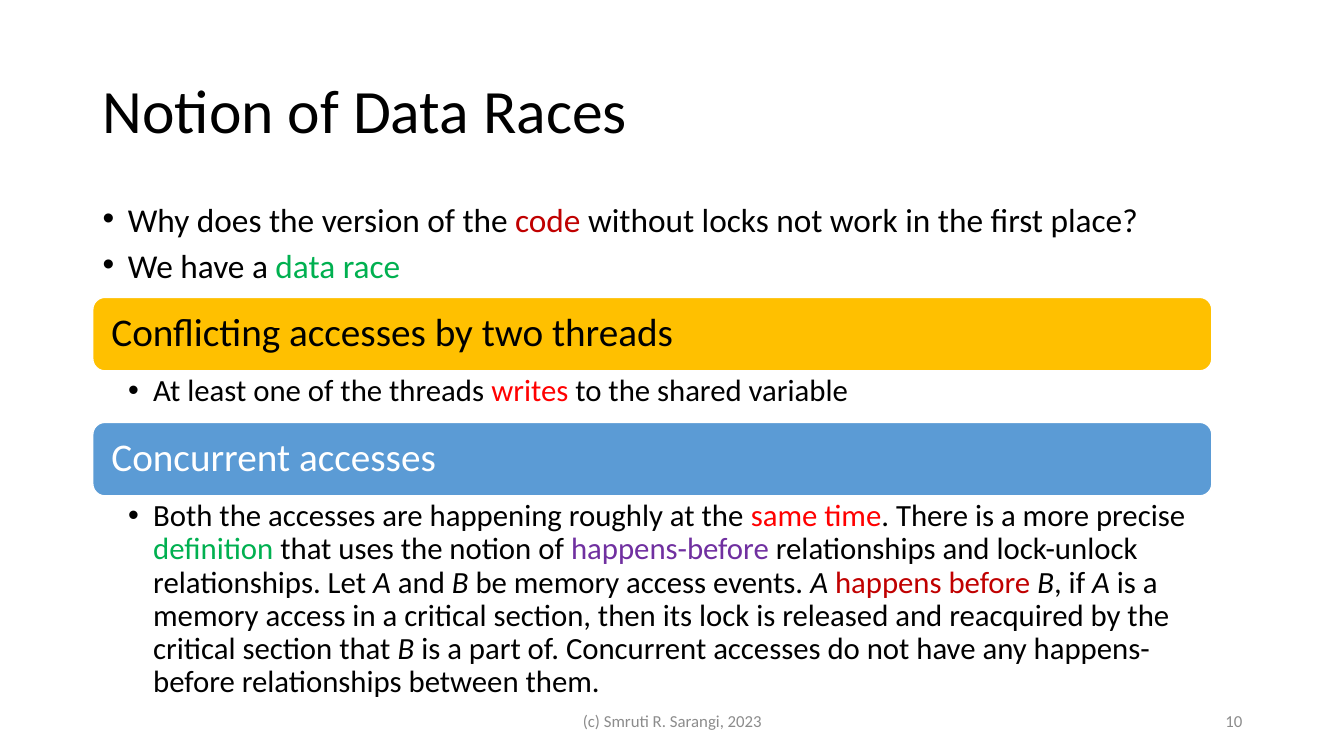
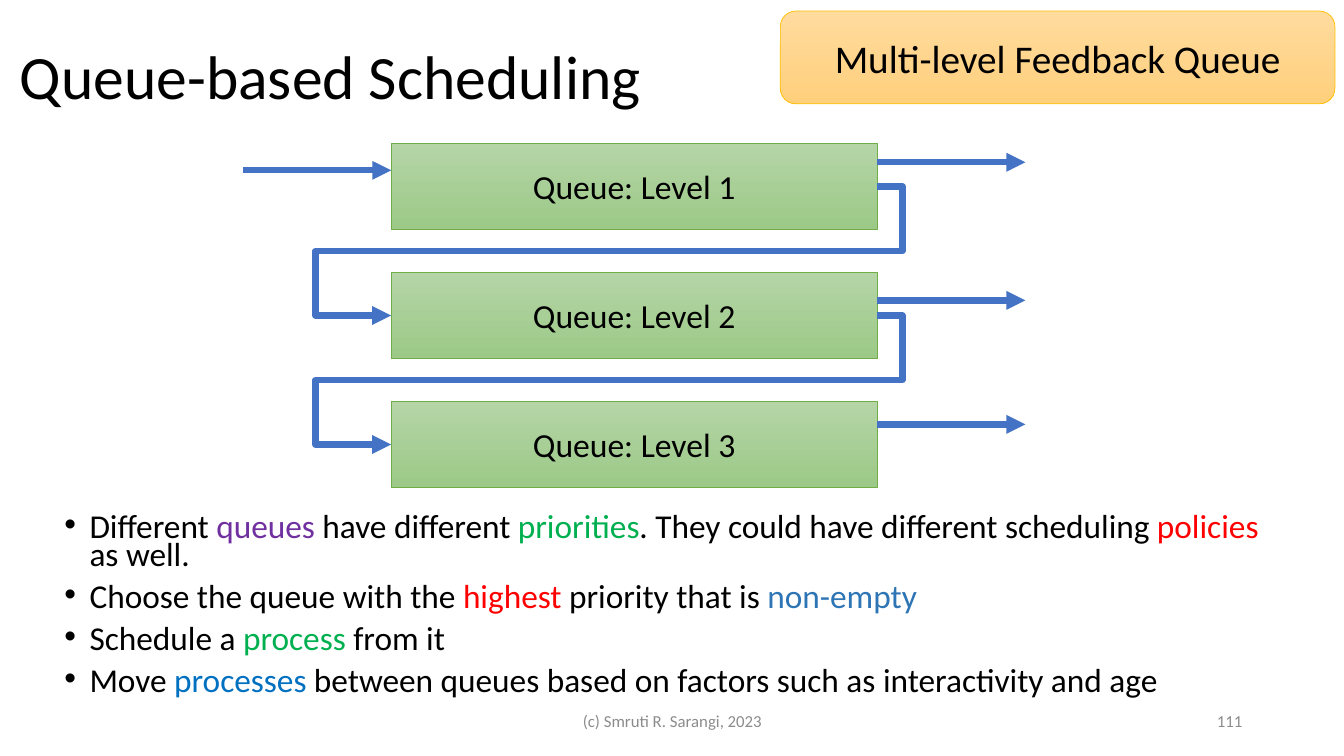
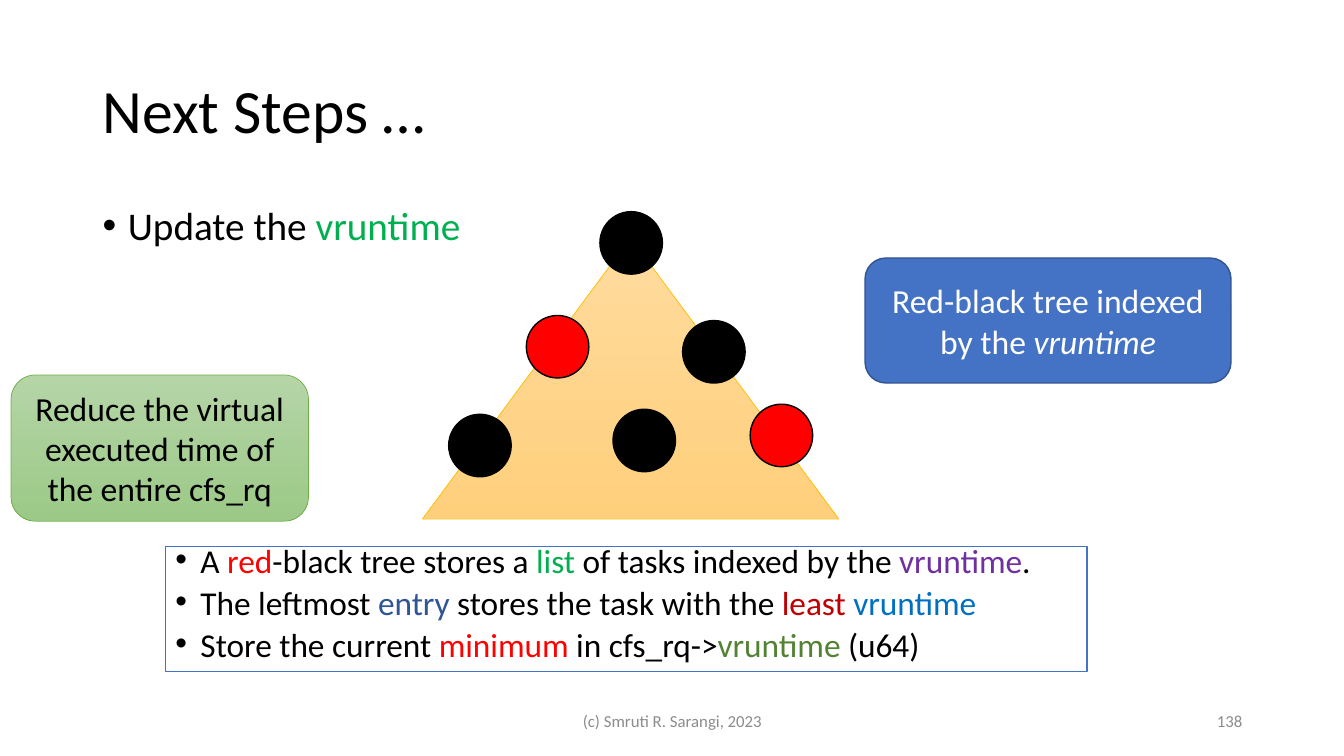
import pptx
import pptx.dml.color
import pptx.enum.shapes
import pptx.enum.text
import pptx.oxml.ns
import pptx.util
from lxml import etree

Inches = pptx.util.Inches
Pt = pptx.util.Pt
SHAPES = pptx.enum.shapes.MSO_SHAPE
CONNECTORS = pptx.enum.shapes.MSO_CONNECTOR
ALIGN = pptx.enum.text.PP_ALIGN
ANCHOR = pptx.enum.text.MSO_ANCHOR
qn = pptx.oxml.ns.qn

FONT = "Calibri"
FOOTER = "(c) Smruti R. Sarangi, 2023"
COLORS = {
    "black": "000000", "white": "FFFFFF", "gray": "8C8C8C",
    "red": "FF0000", "crimson": "C00000", "green": "00B050",
    "purple": "7030A0", "blue": "0070C0", "steel": "2E75B6",
    "navy": "2F5597", "olive": "548235", "accent": "4472C4",
    "accent edge": "325491", "sky": "5B9BD5", "gold": "FFC000",
    "leaf": "70AD47", "leaf top": "B5D5A7", "leaf bottom": "9CC987",
    "sand top": "FFDB9E", "sand bottom": "FFD07C",
}
LEAF = {"fill": ("leaf top", "leaf bottom"), "line": "leaf", "width": 0.5}
SAND = {"fill": ("sand top", "sand bottom"), "line": "gold", "width": 0.5}

RACE_POINTS = [
    ["Why does the version of the ", ("code", "crimson"),
     " without locks not work in the first place?"],
    ["We have a ", ("data race", "green")],
]
RACE_SECTIONS = [
    {"heading": "Conflicting accesses by two threads",
     "fill": "gold", "color": "black", "top": 2.95, "note_height": 0.51,
     "note": ["At least one of the threads ", ("writes", "red"),
              " to the shared variable"]},
    {"heading": "Concurrent accesses",
     "fill": "sky", "color": "white", "top": 4.19, "note_height": 2.16,
     "note": ["Both the accesses are happening roughly at the ",
              ("same time", "red"), ". There is a more precise ",
              ("definition", "green"), " that uses the notion of ",
              ("happens-before", "purple"),
              " relationships and lock-unlock relationships. Let ",
              ("A ", "italic"), "and ", ("B", "italic"),
              " be memory access events. ", ("A ", "italic"),
              ("happens before ", "crimson"), ("B", "italic"), ", if ",
              ("A ", "italic"),
              "is a memory access in a critical section, then its lock is "
              "released and reacquired by the critical section that ",
              ("B ", "italic"),
              "is a part of. Concurrent accesses do not have any "
              "happens-before relationships between them."]},
]

QUEUES = [("Queue: Level 1", 1.61), ("Queue: Level 2", 2.98),
          ("Queue: Level 3", 4.21)]
QUEUE_LEFT, QUEUE_TOP, QUEUE_WIDTH, QUEUE_HEIGHT = 3.88, 1.42, 4.82, 0.86
QUEUE_PITCH = 1.28
QUEUE_RIGHT = QUEUE_LEFT + QUEUE_WIDTH
ARROW_LENGTH = 1.47
DEMOTION_BENDS = [-5200, 50000, 115600]
QUEUE_POINTS = [
    ["Different ", ("queues", "purple"), " have different ",
     ("priorities", "green"), ". They could have different scheduling ",
     ("policies", "red"), " as well."],
    ["Choose the queue with the ", ("highest", "red"),
     " priority that is ", ("non-empty", "steel")],
    ["Schedule a ", ("process", "green"), " from it"],
    ["Move ", ("processes", "blue"),
     " between queues based on factors such as interactivity and age"],
]

NODE_SIZE = 0.62
TREE_NODES = [(5.95, 2.1, "black"), (5.22, 3.13, "red"), (7.44, 4.01, "red"),
              (6.77, 3.18, "black"), (4.45, 4.11, "black"),
              (6.08, 4.06, "black")]
UPDATE_POINTS = [["Update the ", ("vruntime", "green")]]
TREE_POINTS = [
    ["A ", ("red", "red"), "-black tree stores a ", ("list", "green"),
     " of tasks indexed by the ", ("vruntime", "purple"), "."],
    ["The leftmost ", ("entry", "navy"), " stores the task with the ",
     ("least ", "crimson"), ("vruntime", "blue")],
    ["Store the current ", ("minimum", "red"), " in cfs_rq->",
     ("vruntime", "olive"), " (u64)"],
]


def rgb(name):
    return pptx.dml.color.RGBColor.from_string(COLORS[name])


def add_bullet(paragraph):
    properties = paragraph._p.get_or_add_pPr()
    properties.set("marL", str(Inches(0.25)))
    properties.set("indent", str(Inches(-0.25)))
    etree.SubElement(properties, qn("a:buFont")).set("typeface", "Arial")
    etree.SubElement(properties, qn("a:buChar")).set("char", "•")


def write_text(shape, paragraphs, size=24, color="black", align=ALIGN.LEFT,
               anchor=ANCHOR.TOP, spacing=1.0, before=0, bullet=False,
               insets=(0.1, 0.05, 0.1, 0.05)):
    frame = shape.text_frame
    frame.word_wrap = True
    frame.vertical_anchor = anchor
    (frame.margin_left, frame.margin_top,
     frame.margin_right, frame.margin_bottom) = map(Inches, insets)
    for index, parts in enumerate(paragraphs):
        paragraph = frame.add_paragraph() if index else frame.paragraphs[0]
        if bullet:
            add_bullet(paragraph)
        paragraph.alignment = align
        paragraph.line_spacing = spacing
        paragraph.space_before = Pt(before if index else 0)
        for part in parts:
            text, style = (part, color) if isinstance(part, str) else part
            run = paragraph.add_run()
            run.text = text
            run.font.name = FONT
            run.font.size = Pt(size)
            run.font.italic = style == "italic"
            run.font.color.rgb = rgb(color if style == "italic" else style)


def add_text(slide, box, paragraphs, **style):
    shape = slide.shapes.add_textbox(*map(Inches, box))
    write_text(shape, paragraphs, **style)


def add_bullets(slide, box, points, size=23.8, spacing=0.7):
    add_text(slide, box, points, size=size, spacing=spacing, before=10,
             bullet=True)


def add_block(slide, kind, box, fill, line, width=1):
    shape = slide.shapes.add_shape(kind, *map(Inches, box))
    shape.shadow.inherit = False
    if isinstance(fill, tuple):
        shape.fill.gradient()
        shape.fill.gradient_angle = 270
        for stop, name in zip(shape.fill.gradient_stops, fill):
            stop.color.rgb = rgb(name)
    else:
        shape.fill.solid()
        shape.fill.fore_color.rgb = rgb(fill)
    shape.line.color.rgb = rgb(line)
    shape.line.width = Pt(width)
    return shape


def add_label(slide, kind, box, parts, size=24, color="black", **look):
    shape = add_block(slide, kind, box, **look)
    write_text(shape, [parts], size=size, color=color, align=ALIGN.CENTER,
               anchor=ANCHOR.MIDDLE)
    return shape


def add_arrow(slide, kind, start, end):
    connector = slide.shapes.add_connector(kind, *map(Inches, start + end))
    connector.line.color.rgb = rgb("accent")
    connector.line.width = Pt(4.5)
    line = connector.line._get_or_add_ln()
    etree.SubElement(line, qn("a:tailEnd")).set("type", "triangle")
    etree.SubElement(connector._element.spPr, qn("a:effectLst"))
    return connector


def add_demotion(slide, upper, lower):
    connector = add_arrow(slide, CONNECTORS.ELBOW, (0, 0), (1, 1))
    connector.begin_connect(upper, 3)
    connector.end_connect(lower, 1)
    geometry = connector._element.spPr.find(qn("a:prstGeom"))
    geometry.set("prst", "bentConnector5")
    adjustments = geometry.find(qn("a:avLst"))
    if adjustments is None:
        adjustments = etree.SubElement(geometry, qn("a:avLst"))
    for number, value in enumerate(DEMOTION_BENDS, 1):
        guide = etree.SubElement(adjustments, qn("a:gd"))
        guide.set("name", f"adj{number}")
        guide.set("fmla", f"val {value}")


def add_slide(presentation, title, number, title_at=(0.92, 0.4)):
    slide = presentation.slides.add_slide(presentation.slide_layouts[6])
    add_text(slide, title_at + (11.5, 1.45), [[title]], size=44, spacing=0.9,
             anchor=ANCHOR.MIDDLE)
    for box, text, align in [((4.42, 6.95, 4.5, 0.4), FOOTER, ALIGN.CENTER),
                             ((9.42, 6.95, 3, 0.4), number, ALIGN.RIGHT)]:
        add_text(slide, box, [[text]], size=12, color="gray", align=align,
                 anchor=ANCHOR.MIDDLE)
    return slide


def build_data_races(presentation):
    slide = add_slide(presentation, "Notion of Data Races", "10")
    add_bullets(slide, (0.92, 2, 11.95, 1.1), RACE_POINTS, spacing=0.8)
    left, width, height = 0.92, 11.1, 0.73
    for section in RACE_SECTIONS:
        top = section["top"]
        band = add_block(slide, SHAPES.ROUNDED_RECTANGLE,
                         (left, top, width, height), section["fill"], "white")
        write_text(band, [[section["heading"]]], size=28, spacing=0.9,
                   color=section["color"], anchor=ANCHOR.MIDDLE,
                   insets=(0.15, 0.1, 0.15, 0.1))
        add_text(slide, (left, top + height, width, section["note_height"]),
                 [section["note"]], size=22, spacing=0.9, bullet=True,
                 insets=(0.35, 0.04, 0.22, 0.04))


def build_queues(presentation):
    slide = add_slide(presentation, "Queue-based Scheduling", "111",
                      (0.1, 0.06))
    add_bullets(slide, (0.54, 5.07, 12.36, 1.98), QUEUE_POINTS)
    add_arrow(slide, CONNECTORS.STRAIGHT,
              (QUEUE_LEFT - ARROW_LENGTH, 1.69), (QUEUE_LEFT, 1.69))
    queues = []
    for index, (name, exit_y) in enumerate(QUEUES):
        top = QUEUE_TOP + index * QUEUE_PITCH
        queues.append(add_label(
            slide, SHAPES.RECTANGLE,
            (QUEUE_LEFT, top, QUEUE_WIDTH, QUEUE_HEIGHT), [name], **LEAF))
        add_arrow(slide, CONNECTORS.STRAIGHT, (QUEUE_RIGHT, exit_y),
                  (QUEUE_RIGHT + ARROW_LENGTH, exit_y))
    for upper, lower in zip(queues, queues[1:]):
        add_demotion(slide, upper, lower)
    add_label(slide, SHAPES.ROUNDED_RECTANGLE, (7.74, 0.11, 5.5, 0.92),
              ["Multi-level Feedback Queue"], size=28, **SAND)


def build_next_steps(presentation):
    slide = add_slide(presentation, "Next Steps …", "138")
    add_bullets(slide, (0.92, 2, 11.5, 0.82), UPDATE_POINTS, size=28,
                spacing=0.9)
    add_block(slide, SHAPES.ISOSCELES_TRIANGLE, (4.19, 2.36, 4.13, 2.79),
              **SAND)
    for left, top, color in TREE_NODES:
        add_block(slide, SHAPES.OVAL, (left, top, NODE_SIZE, NODE_SIZE),
                  color, "black")
    add_label(slide, SHAPES.ROUNDED_RECTANGLE, (8.58, 2.56, 3.63, 1.24),
              ["Red-black tree indexed by the ", ("vruntime", "italic")],
              color="white", fill="accent", line="accent edge")
    facts = add_block(slide, SHAPES.RECTANGLE, (1.64, 5.42, 9.14, 1.24),
                      "white", "accent")
    write_text(facts, TREE_POINTS, size=23.8, spacing=0.7, before=10,
               bullet=True)
    add_label(slide, SHAPES.ROUNDED_RECTANGLE, (0.11, 3.72, 2.95, 1.45),
              ["Reduce the virtual executed time of the entire cfs_rq"],
              **LEAF)


def main():
    presentation = pptx.Presentation()
    presentation.slide_width = Inches(13.33)
    presentation.slide_height = Inches(7.5)
    build_data_races(presentation)
    build_queues(presentation)
    build_next_steps(presentation)
    presentation.save("out.pptx")


if __name__ == "__main__":
    main()
